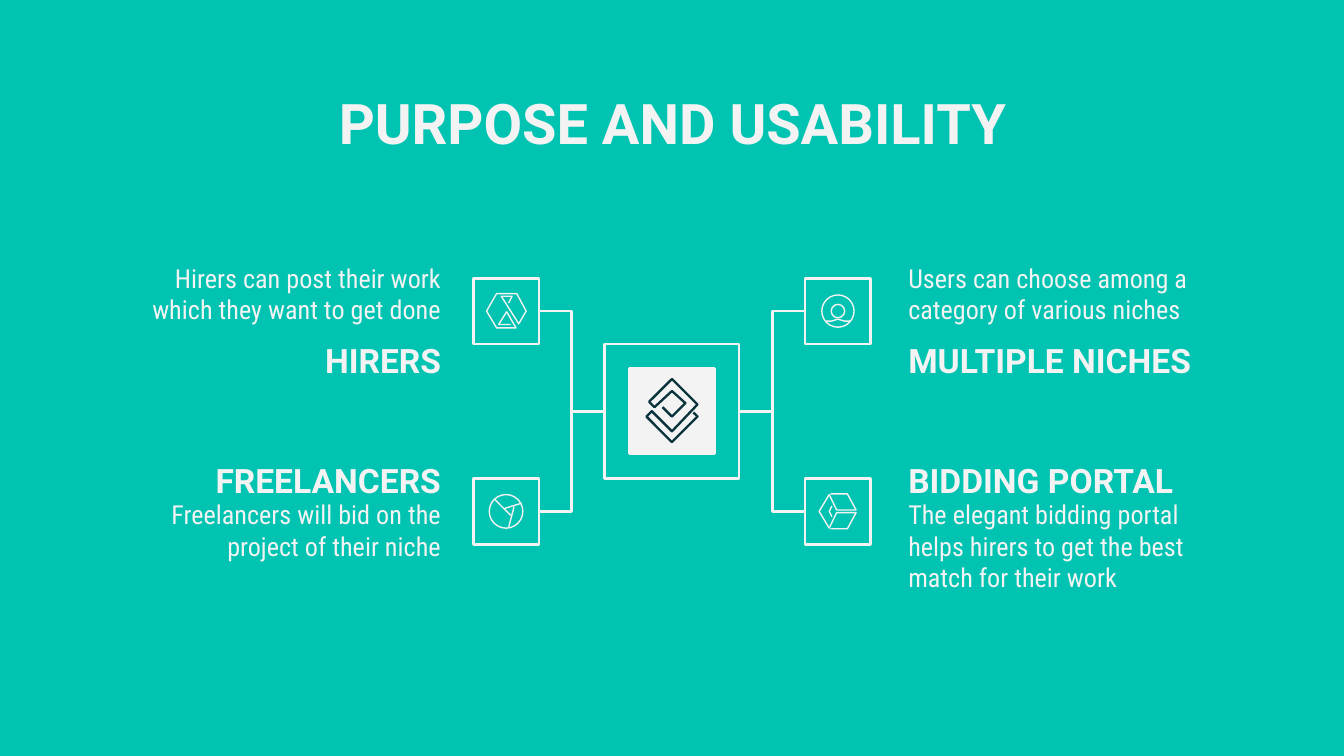
from lxml import etree
from pptx import Presentation
from pptx.dml.color import RGBColor
from pptx.enum.shapes import MSO_CONNECTOR, MSO_SHAPE
from pptx.enum.text import MSO_ANCHOR, MSO_AUTO_SIZE, PP_ALIGN
from pptx.oxml.ns import qn
from pptx.util import Inches, Pt

TEAL = RGBColor(0x00, 0xC3, 0xB1)
LIGHT = RGBColor(0xF3, 0xF3, 0xF3)
DARK = RGBColor(0x0C, 0x34, 0x3D)
RECT, OVAL, ELBOW = MSO_SHAPE.RECTANGLE, MSO_SHAPE.OVAL, MSO_CONNECTOR.ELBOW
LEFT, CENTER, RIGHT = PP_ALIGN.LEFT, PP_ALIGN.CENTER, PP_ALIGN.RIGHT
TOP, MIDDLE, NO_FIT = MSO_ANCHOR.TOP, MSO_ANCHOR.MIDDLE, MSO_AUTO_SIZE.NONE
SIDE_LEFT, SIDE_RIGHT = 1, 3

NODE = 0.49
TEXT_LEFT, TEXT_RIGHT = (0.94, 2.44), (6.66, 2.4)  # left, width

# Icons: ring radii and polylines around the centre, in hundredths of an inch
HUB_MARK = ([], [[(-7, -3), (0, 4), (10, -6), (0, -15), (-13, -3), (-17, -7),
                  (0, -24), (19, -5), (0, 15), (-15, 0), (-19, 4), (0, 23),
                  (19, 4), (16, 1)]])
HOURGLASS = ([], [[(3.5, 10), (-5.5, 10), (0.5, 0.5), (7.5, 12.5), (-7, 12.5),
                   (-14.5, 0), (-7, -13), (8, -13), (15, 0), (9.5, 9.5),
                   (-3.5, -11), (4.5, -11), (2, -6)]])
RINGS = ([12, 5], [[(-9, 7.5), (-5, 7.5), (0, 6), (5, 7.5), (9, 7.5)]])
PIE = ([12.5], [[(-8.5, -9), (-1.5, -2), (11.5, -6)],
                [(-1.5, -2), (3.5, 3)],
                [(6, -3.5), (2, 12)]])
CUBE = ([], [[(-5.5, -13), (7, -13), (13.5, -1), (-1, -1), (-6.5, -12.5),
              (-14, 0), (-6.5, 12.5), (-1, 1), (13.5, 1), (7, 13), (-5.5, 13)],
             [(-4.5, -4), (-6.5, 0), (-4.5, 4)]])

# Text column, node left, node top, icon, body (text, top, height), heading (text, top, anchor)
BRANCHES = [
    (TEXT_LEFT, 3.52, 2.07, HOURGLASS,
     ("Hirers can post their work which they want to get done", 1.85, 0.49),
     ("HIRERS", 2.48, MIDDLE)),
    (TEXT_RIGHT, 5.99, 2.07, RINGS,
     ("Users can choose among a category of various niches", 1.85, 0.49),
     ("MULTIPLE NICHES", 2.48, MIDDLE)),
    (TEXT_LEFT, 3.52, 3.56, PIE,
     ("Freelancers will bid on the project of their niche", 3.61, 0.77),
     ("FREELANCERS", 3.32, TOP)),
    (TEXT_RIGHT, 5.99, 3.56, CUBE,
     ("The elegant bidding portal helps hirers to get the best match for their work",
      3.61, 0.77),
     ("BIDDING PORTAL", 3.32, TOP)),
]


def outline(sp, color, width, fill=None):
    sp.shadow.inherit = False
    if fill is None:
        sp.fill.background()
    else:
        sp.fill.solid()
        sp.fill.fore_color.rgb = fill
    sp.line.color.rgb = color
    sp.line.width = Pt(width)


def add_box(slide, kind, cx, cy, size, width=1.5, color=LIGHT, fill=None):
    """Square box or circle centred on (cx, cy)."""
    sp = slide.shapes.add_shape(kind, Inches(cx - size / 2), Inches(cy - size / 2),
                                Inches(size), Inches(size))
    outline(sp, color, width, fill)
    return sp


def add_icon(slide, icon, cx, cy, color, width):
    radii, strokes = icon
    for radius in radii:
        add_box(slide, OVAL, cx, cy, radius / 50, width, color)
    for stroke in strokes:
        points = [(Inches(cx + x / 100), Inches(cy + y / 100)) for x, y in stroke]
        builder = slide.shapes.build_freeform(*points[0])
        builder.add_line_segments(points[1:], close=False)
        outline(builder.convert_to_shape(), color, width)


def format_text(sp, text, font, size, bold, align, anchor=TOP):
    tf = sp.text_frame
    tf.text = text
    tf.word_wrap = True
    tf.auto_size = NO_FIT
    tf.vertical_anchor = anchor
    tf.margin_left = tf.margin_right = tf.margin_top = tf.margin_bottom = Inches(0.1)
    p = tf.paragraphs[0]
    p.alignment = align
    r = p.runs[0]
    r.font.name = font
    r.font.size = Pt(size)
    r.font.bold = bold
    r.font.color.rgb = LIGHT


def add_title(slide, left, top, width, height):
    title = slide.shapes.title
    title.left, title.top = Inches(left), Inches(top)
    title.width, title.height = Inches(width), Inches(height)
    format_text(title, "PURPOSE AND USABILITY", "Roboto", 30, True, CENTER)


def add_hub(slide, left, top, size):
    """Framed central mark; returns the frame that the branches join."""
    cx, cy = left + size / 2, top + size / 2
    frame = add_box(slide, RECT, cx, cy, size)
    add_box(slide, RECT, cx, cy, 0.63, fill=LIGHT)
    add_icon(slide, HUB_MARK, cx, cy, DARK, 1.25)
    return frame


def add_branch(slide, hub, column, left, top, icon, body, heading):
    """Node with its icon, its texts and the elbow line to the hub."""
    cx, cy = left + NODE / 2, top + NODE / 2
    node = add_box(slide, RECT, cx, cy, NODE)
    add_icon(slide, icon, cx, cy, LIGHT, 0.75)

    on_left = column is TEXT_LEFT
    align = RIGHT if on_left else LEFT
    x, width = column
    text, y, height = body
    tb = slide.shapes.add_textbox(Inches(x), Inches(y), Inches(width), Inches(height))
    format_text(tb, text, "Roboto Condensed", 14, False, align)
    text, y, anchor = heading
    tb = slide.shapes.add_textbox(Inches(x), Inches(y), Inches(width), Inches(0.4))
    format_text(tb, text, "Roboto", 18, True, align, anchor)

    line = slide.shapes.add_connector(ELBOW, 0, 0, 0, 0)
    line.begin_connect(node, SIDE_RIGHT if on_left else SIDE_LEFT)
    line.end_connect(hub, SIDE_LEFT if on_left else SIDE_RIGHT)
    line.line.color.rgb = LIGHT
    line.line.width = Pt(1.5)
    etree.SubElement(line._element.spPr, qn("a:effectLst"))


def main():
    prs = Presentation()
    prs.slide_width = Inches(10)
    prs.slide_height = prs.slide_width * 9 // 16
    slide = prs.slides.add_slide(prs.slide_layouts[5])
    slide.background.fill.solid()
    slide.background.fill.fore_color.rgb = TEAL

    add_title(slide, 0.79, 0.56, 8.43, 0.63)
    hub = add_hub(slide, 4.5, 2.56, 1)
    for branch in BRANCHES:
        add_branch(slide, hub, *branch)
    prs.save("out.pptx")


if __name__ == "__main__":
    main()
